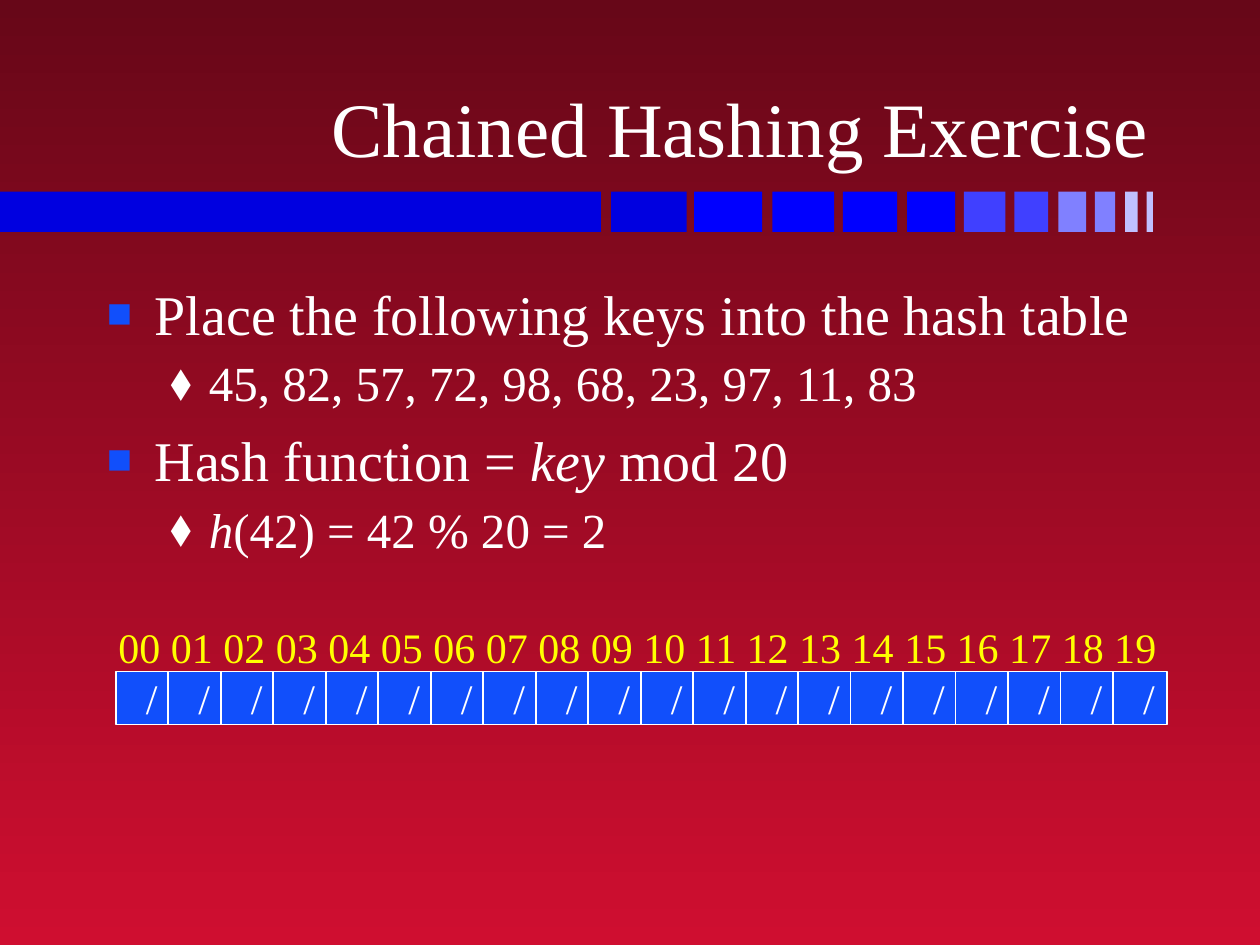
from lxml import etree
from pptx import Presentation
from pptx.dml.color import RGBColor
from pptx.enum import shapes, text
from pptx.oxml import ns
from pptx.util import Inches, Pt

FONT = "Times New Roman"
COLORS = {
    "top": "670718", "bottom": "CF0E30", "white": "FFFFFF", "yellow": "FFFF00",
    "cell": "114FFB", "navy": "0000E0", "blue": "0000FF", "medium": "4040FF",
    "light": "8080FF", "pale": "C0C0FF",
}
# Left, width and colour of each bar in the stripe
BARS = [
    (0, 4.77, "navy"), (4.85, 0.6, "navy"), (5.51, 0.54, "blue"),
    (6.13, 0.49, "blue"), (6.69, 0.43, "blue"), (7.2, 0.38, "blue"),
    (7.65, 0.33, "medium"), (8.05, 0.27, "medium"), (8.4, 0.22, "light"),
    (8.69, 0.16, "light"), (8.93, 0.1, "pale"), (9.1, 0.05, "pale"),
]
# Level and (text, italic) runs of each point
POINTS = [
    (0, [("Place the following keys into the hash table", False)]),
    (1, [("45, 82, 57, 72, 98, 68, 23, 97, 11, 83", False)]),
    (0, [("Hash function = ", False), ("key", True), (" mod 20", False)]),
    (1, [("h", True), ("(42) = 42 % 20 = 2", False)]),
]
LEVELS = [
    dict(size=32, before=8, margin=0.38, hanging=0.38,
         bullet="■", bullet_color="cell", bullet_size=75),
    dict(size=28, before=3.5, margin=0.81, hanging=0.31,
         bullet="⬧", bullet_color="white", bullet_size=100),
]
SLOTS = 20


def color(name):
    return RGBColor.from_string(COLORS[name])


def write(paragraph, content, size=24, ink="white", align=text.PP_ALIGN.LEFT, italic=False):
    paragraph.alignment = align
    run = paragraph.add_run()
    run.text = content
    run.font.name = FONT
    run.font.size = Pt(size)
    run.font.color.rgb = color(ink)
    run.font.italic = italic


def add_bullet(paragraph, style):
    properties = paragraph._p.get_or_add_pPr()
    properties.set("marL", str(Inches(style["margin"])))
    properties.set("indent", str(-Inches(style["hanging"])))

    def add(parent, tag, **attributes):
        return etree.SubElement(parent, ns.qn(tag), **attributes)

    add(add(properties, "a:buClr"), "a:srgbClr", val=COLORS[style["bullet_color"]])
    add(properties, "a:buSzPct", val=str(style["bullet_size"] * 1000))
    add(properties, "a:buFont", typeface=FONT)
    add(properties, "a:buChar", char=style["bullet"])


def add_rectangle(slide, left, top, width, height, fill, line=None):
    shape = slide.shapes.add_shape(
        shapes.MSO_SHAPE.RECTANGLE, Inches(left), Inches(top), Inches(width), Inches(height))
    shape.shadow.inherit = False
    shape.fill.solid()
    shape.fill.fore_color.rgb = color(fill)
    if line:
        shape.line.color.rgb = color(line)
        shape.line.width = Pt(1)
    else:
        shape.line.fill.background()
    return shape


def paint_background(slide):
    fill = slide.background.fill
    fill.gradient()
    fill.gradient_angle = 270
    for stop, name in zip(fill.gradient_stops, ("top", "bottom")):
        stop.color.rgb = color(name)


def add_stripe(slide, left, top, height):
    for offset, width, fill in BARS:
        add_rectangle(slide, left + offset, top, width, height, fill)


def place_title(slide, left, top, width, height):
    title = slide.shapes.title
    title.left, title.top = Inches(left), Inches(top)
    title.width, title.height = Inches(width), Inches(height)
    frame = title.text_frame
    frame.auto_size = text.MSO_AUTO_SIZE.NONE
    frame.vertical_anchor = text.MSO_ANCHOR.BOTTOM
    write(frame.paragraphs[0], "Chained Hashing Exercise", size=44, align=text.PP_ALIGN.RIGHT)


def add_points(slide, left, top, width, height):
    box = slide.shapes.add_textbox(Inches(left), Inches(top), Inches(width), Inches(height))
    frame = box.text_frame
    frame.word_wrap = True
    for index, (level, runs) in enumerate(POINTS):
        style = LEVELS[level]
        paragraph = frame.add_paragraph() if index else frame.paragraphs[0]
        paragraph.level = level
        add_bullet(paragraph, style)
        paragraph.space_before = Pt(style["before"] if index else 0)
        for content, italic in runs:
            write(paragraph, content, size=style["size"], italic=italic)


def add_hash_table(slide, left, top, width, height):
    # Empty slots
    for slot in range(SLOTS):
        cell = add_rectangle(slide, left + slot * width / SLOTS, top, 0.43, height,
                             "cell", line="white")
        frame = cell.text_frame
        frame.word_wrap = False
        frame.vertical_anchor = text.MSO_ANCHOR.MIDDLE
        write(frame.paragraphs[0], "/", align=text.PP_ALIGN.RIGHT)
    # Slot numbers
    labels = slide.shapes.add_textbox(
        Inches(left - 0.08), Inches(top - 0.45), Inches(width + 0.12), Inches(0.5))
    frame = labels.text_frame
    frame.word_wrap = False
    frame.auto_size = text.MSO_AUTO_SIZE.SHAPE_TO_FIT_TEXT
    write(frame.paragraphs[0], " ".join(f"{slot:02d}" for slot in range(SLOTS)), ink="yellow")


def main():
    presentation = Presentation()
    presentation.slide_width, presentation.slide_height = Inches(10), Inches(7.5)
    slide = presentation.slides.add_slide(presentation.slide_layouts[5])
    paint_background(slide)
    add_stripe(slide, 0, 1.52, 0.32)
    place_title(slide, 0.74, 0.19, 8.48, 1.23)
    add_points(slide, 0.75, 2.17, 8.5, 4.5)
    add_hash_table(slide, 0.92, 5.33, 8.33, 0.42)
    presentation.save("out.pptx")


if __name__ == "__main__":
    main()
